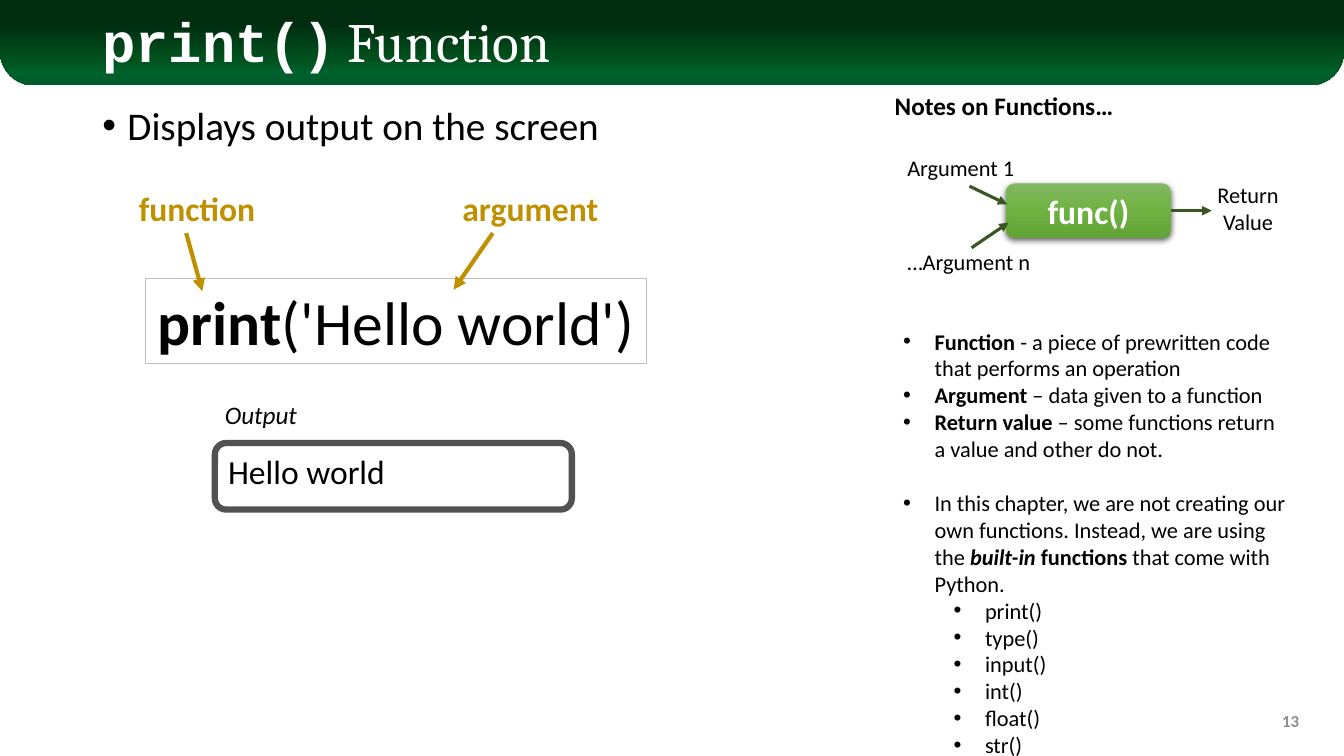
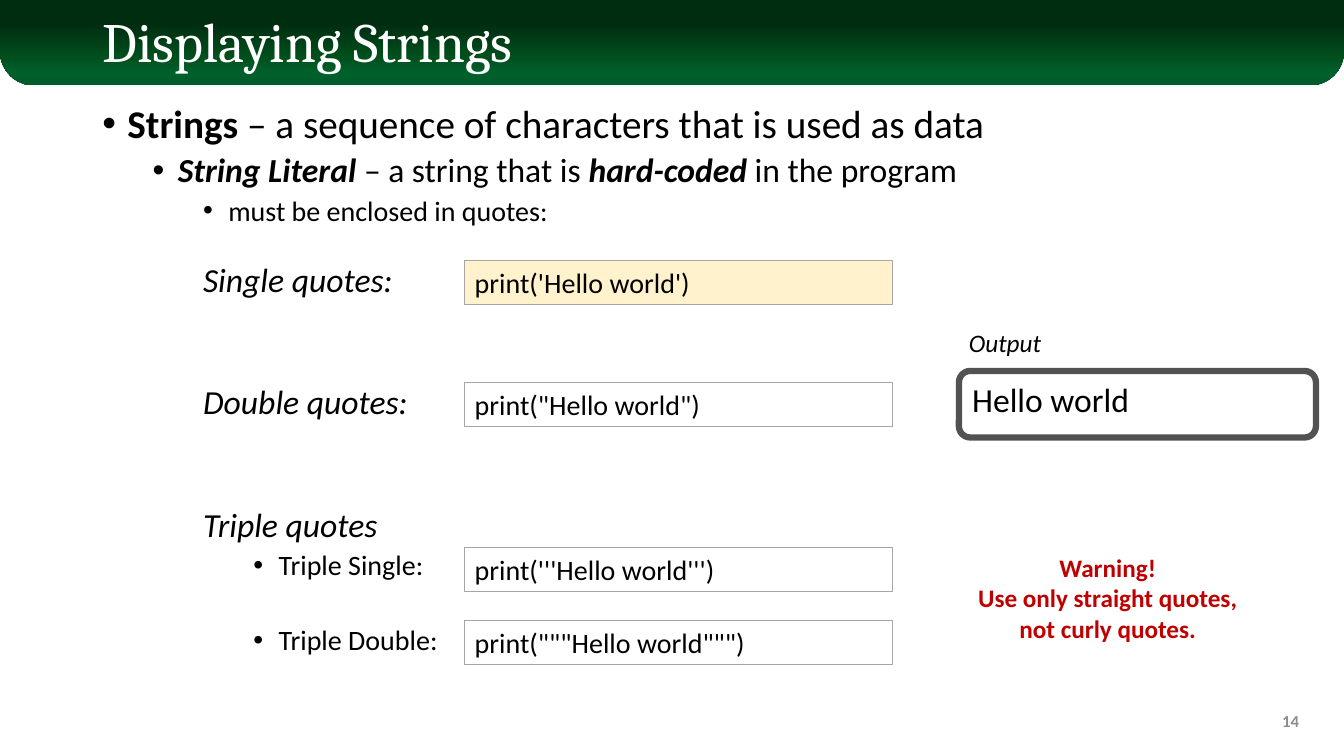
from dataclasses import dataclass

import lxml.etree
import pptx
import pptx.dml.color
import pptx.enum.shapes
import pptx.enum.text
import pptx.oxml.ns
import pptx.presentation
import pptx.shapes.autoshape
import pptx.shapes.connector
import pptx.slide
import pptx.text.text
import pptx.util

Pt = pptx.util.Pt
RGB = pptx.dml.color.RGBColor.from_string
qn = pptx.oxml.ns.qn
Align = pptx.enum.text.PP_ALIGN
Anchor = pptx.enum.text.MSO_ANCHOR
Preset = pptx.enum.shapes.MSO_SHAPE
Slide = pptx.slide.Slide
Shape = pptx.shapes.autoshape.Shape
Connector = pptx.shapes.connector.Connector
Stops = tuple[tuple[int, str], ...]


@dataclass(frozen=True)
class Theme:
    """Colours, fonts and type sizes of the deck."""
    black: str = "000000"
    white: str = "FFFFFF"
    gold: str = "BF9000"
    cream: str = "FFF2CC"
    red: str = "C00000"
    dark_green: str = "385723"
    panel_line: str = "525252"
    code_line: str = "A6A6A6"
    example_line: str = "BFBFBF"
    page_number: str = "8C8C8C"
    band: Stops = ((0, "002D10"), (28, "002D10"), (68, "00501D"), (85, "00602B"), (100, "005C2B"))
    button: Stops = ((0, "81B861"), (50, "6FB242"), (100, "62A336"))
    font: str = "Calibri"
    title_font: str = "Cambria"
    code_font: str = "Courier New"
    title: float = 39.6
    example: float = 44
    body: float = 28
    large: float = 24
    medium: float = 20
    label: float = 18
    note: float = 16
    footer: float = 12


THEME = Theme()


@dataclass(frozen=True)
class Box:
    left: float
    top: float
    width: float
    height: float


@dataclass(frozen=True)
class Span:
    text: str
    bold: bool = False
    italic: bool = False
    font: str = THEME.font


@dataclass(frozen=True)
class Para:
    spans: tuple[Span, ...]
    size: float
    level: int = 0
    indent: float = 0
    hanging: float = 0
    before: float = 0
    spacing: float = 1.0


@dataclass(frozen=True)
class CodeSample:
    code: str
    top: float
    fill: str | None = None


# Text

def add_span(para: pptx.text.text._Paragraph, text: str, *, size: float, color: str,
             bold: bool = False, italic: bool = False, font: str = THEME.font) -> None:
    span = para.add_run()
    span.text = text
    span.font.name = font
    span.font.size = Pt(size)
    span.font.bold = bold
    span.font.italic = italic
    span.font.color.rgb = RGB(color)


def write(shape: Shape, paras: list[Para], *, color: str = THEME.black,
          align: Align = Align.LEFT, anchor: Anchor = Anchor.TOP, wrap: bool = True) -> None:
    frame = shape.text_frame
    frame.word_wrap = wrap
    frame.vertical_anchor = anchor
    frame.auto_size = pptx.enum.text.MSO_AUTO_SIZE.NONE
    for index, item in enumerate(paras):
        para = frame.add_paragraph() if index else frame.paragraphs[0]
        para.alignment = align
        para.level = item.level
        para.line_spacing = item.spacing
        para.space_before = Pt(item.before)
        properties = para._p.get_or_add_pPr()
        properties.set("marL", str(Pt(item.indent)))
        properties.set("indent", str(Pt(-item.hanging)))
        if item.hanging:
            lxml.etree.SubElement(properties, qn("a:buFont")).set("typeface", "Arial")
            lxml.etree.SubElement(properties, qn("a:buChar")).set("char", "•")
        for span in item.spans:
            add_span(para, span.text, size=item.size, color=color, bold=span.bold,
                     italic=span.italic, font=span.font)


def plain(text: str, size: float, bold: bool = False, italic: bool = False) -> list[Para]:
    """One paragraph per line of text."""
    return [Para((Span(line, bold, italic),), size) for line in text.split("\n")]


def add_text(slide: Slide, box: Box, paras: list[Para], *, color: str = THEME.black,
             align: Align = Align.LEFT, anchor: Anchor = Anchor.TOP, wrap: bool = True) -> None:
    shape = slide.shapes.add_textbox(Pt(box.left), Pt(box.top), Pt(box.width), Pt(box.height))
    write(shape, paras, color=color, align=align, anchor=anchor, wrap=wrap)


# Shapes and arrows

def add_shape(slide: Slide, box: Box, preset: Preset = Preset.RECTANGLE, *,
              fill: str | None = None, line: str | None = None, weight: float = 0.75) -> Shape:
    shape = slide.shapes.add_shape(preset, Pt(box.left), Pt(box.top), Pt(box.width), Pt(box.height))
    shape.shadow.inherit = False
    if fill:
        shape.fill.solid()
        shape.fill.fore_color.rgb = RGB(fill)
    else:
        shape.fill.background()
    if line:
        shape.line.color.rgb = RGB(line)
        shape.line.width = Pt(weight)
    else:
        shape.line.fill.background()
    return shape


def add_color_stop(parent: lxml.etree._Element, color: str) -> lxml.etree._Element:
    node = lxml.etree.SubElement(parent, qn("a:srgbClr"))
    node.set("val", color)
    return node


def fill_downward(shape: Shape, stops: Stops) -> None:
    shape.fill.gradient()
    shape.fill.gradient_angle = 270
    stop_list = shape.element.spPr.find(".//" + qn("a:gsLst"))
    for old_stop in list(stop_list):
        stop_list.remove(old_stop)
    for percent, color in stops:
        stop = lxml.etree.SubElement(stop_list, qn("a:gs"))
        stop.set("pos", str(percent * 1000))
        add_color_stop(stop, color)


def add_shadow(shape: Shape) -> None:
    effects = shape.element.spPr.find(qn("a:effectLst"))
    shadow = lxml.etree.SubElement(effects, qn("a:outerShdw"))
    for name, value in (("blurRad", Pt(4.5)), ("dist", Pt(1.5)), ("dir", 5400000), ("rotWithShape", 0)):
        shadow.set(name, str(int(value)))
    lxml.etree.SubElement(add_color_stop(shadow, THEME.black), qn("a:alpha")).set("val", "63000")


def add_arrow(slide: Slide, start: tuple[float, float], end: tuple[float, float], *,
              color: str, weight: float) -> Connector:
    arrow = slide.shapes.add_connector(pptx.enum.shapes.MSO_CONNECTOR.STRAIGHT,
                                       *(Pt(value) for value in start + end))
    arrow.line.color.rgb = RGB(color)
    arrow.line.width = Pt(weight)
    properties = arrow.element.spPr
    lxml.etree.SubElement(properties.find(qn("a:ln")), qn("a:tailEnd")).set("type", "triangle")
    lxml.etree.SubElement(properties, qn("a:effectLst"))
    return arrow


# Parts shared by the slides

def move_band_to_layout(slide: Slide) -> None:
    band = add_shape(slide, Box(0, 0, 960, 61), Preset.ROUND_2_SAME_RECTANGLE)
    band.adjustments[0], band.adjustments[1] = 0, 0.4
    fill_downward(band, THEME.band)
    band.element.nvSpPr.cNvPr.id = 99
    slide.slide_layout.shapes.element.insert(2, band.element)


def add_page(deck: pptx.presentation.Presentation, number: int, title: tuple[Span, ...]) -> Slide:
    slide = deck.slides.add_slide(deck.slide_layouts[5])
    heading = slide.shapes.title
    heading.left, heading.top, heading.width, heading.height = Pt(66), Pt(9.5), Pt(828), Pt(44)
    write(heading, [Para(title, THEME.title, spacing=0.9)], color=THEME.white, anchor=Anchor.MIDDLE)
    add_text(slide, Box(719, 500.5, 216, 28.5), plain(str(number), THEME.footer, bold=True),
             color=THEME.page_number, align=Align.RIGHT, anchor=Anchor.MIDDLE)
    return slide


def add_output_panel(slide: Slide, left: float, top: float) -> None:
    add_text(slide, Box(left, top, 66, 29), plain("Output", THEME.label, italic=True), wrap=False)
    panel = add_shape(slide, Box(left, top + 35, 255, 47.5), Preset.ROUNDED_RECTANGLE,
                      line=THEME.panel_line, weight=4.5)
    panel.adjustments[0] = 0.17
    write(panel, plain("Hello world", THEME.large))


def outline(*spans: Span, level: int, size: float, before: float = 5, bullet: bool = True) -> Para:
    indent = 18 + 36 * level if bullet else 36 * level
    return Para(spans, size, level, indent, 18 if bullet else 0, before, 0.9)


def note(*spans: Span, level: int = 0, before: float = 0) -> Para:
    return Para(spans, THEME.note, level, 22.5 + 36 * level, 22.5, before)


# Slides

def build_print_page(slide: Slide) -> None:
    add_text(slide, Box(66, 72.5, 828, 415),
             [outline(Span("Displays output on the screen"), level=0, size=THEME.body, before=10)])

    # Annotated call
    example = add_shape(slide, Box(104, 199, 358, 60.5), line=THEME.example_line)
    call = Para((Span("print", bold=True), Span("('Hello world')")), THEME.example)
    write(example, [call], align=Align.CENTER, wrap=False)
    for word, left, width, start, end in (
            ("function", 91.5, 98.5, (133, 166.5), (144.5, 208)),
            ("argument", 322.5, 112.5, (352, 166.5), (324, 207))):
        add_text(slide, Box(left, 131, width, 36), plain(word, THEME.large, bold=True),
                 color=THEME.gold, align=Align.CENTER, wrap=False)
        add_arrow(slide, start, end, color=THEME.gold, weight=3)
    add_output_panel(slide, 153.5, 281.5)

    # Function diagram
    add_text(slide, Box(632, 61, 173.5, 29), plain("Notes on Functions…", THEME.label, bold=True), wrap=False)
    button = add_shape(slide, Box(718.5, 131, 118, 39), Preset.ROUNDED_RECTANGLE)
    fill_downward(button, THEME.button)
    add_shadow(button)
    write(button, plain("func()", THEME.large, bold=True), color=THEME.white,
          align=Align.CENTER, anchor=Anchor.MIDDLE)
    for word, top, width, start, end in (
            ("Argument 1", 106.5, 92, (692.5, 133), (719.5, 146)),
            ("…Argument n", 174, 104.5, (694, 177), (720.5, 159))):
        add_text(slide, Box(641, top, width, 26.5), plain(word, THEME.note), wrap=False)
        add_arrow(slide, start, end, color=THEME.dark_green, weight=2.25)
    result = add_arrow(slide, (836.5, 150.5), (865.5, 150.5), color=THEME.dark_green, weight=2.25)
    result.begin_connect(button, 3)
    add_text(slide, Box(857, 126, 69, 46), plain("Return\nValue", THEME.note), align=Align.CENTER)

    # Notes
    notes = [
        note(Span("Function", bold=True), Span(" - a piece of prewritten code that performs an operation")),
        note(Span("Argument", bold=True), Span(" – data given to a function")),
        note(Span("Return value ", bold=True), Span("– some functions return a value and other do not.")),
        note(Span("In this chapter, we are not creating our own functions. Instead, we are using the "),
             Span("built-in ", bold=True, italic=True), Span("functions", bold=True),
             Span(" that come with Python."), before=19.5),
    ]
    names = ("print()", "type()", "input()", "int()", "float()", "str()")
    add_text(slide, Box(638, 230.5, 290, 317.5), notes + [note(Span(name), level=1) for name in names])


def build_strings_page(slide: Slide) -> None:
    # Outline
    add_text(slide, Box(66, 71, 828, 415), [
        outline(Span("Strings", bold=True), Span(" – a sequence of characters that is used as data"),
                level=0, size=THEME.body, before=10),
        outline(Span("String Literal ", bold=True, italic=True), Span("– a string that is "),
                Span("hard-coded ", bold=True, italic=True), Span("in the program"),
                level=1, size=THEME.large),
        outline(Span("must be enclosed in quotes:"), level=2, size=THEME.medium),
        *(outline(Span(words, italic=True), level=2, size=THEME.large, before=before, bullet=False)
          for words, before in (("Single quotes:", 26), ("Double quotes:", 61.5), ("Triple quotes", 61.5))),
        outline(Span("Triple Single:"), level=3, size=THEME.medium),
        outline(Span("Triple Double:"), level=3, size=THEME.medium, before=32),
    ])

    # Code samples
    for sample in (CodeSample("print('Hello world')", 186, THEME.cream),
                   CodeSample('print("Hello world")', 273),
                   CodeSample("print('''Hello world''')", 391),
                   CodeSample('print("""Hello world""")', 443.5)):
        box = add_shape(slide, Box(332, sample.top, 305.5, 31.5), fill=sample.fill, line=THEME.code_line)
        write(box, plain(sample.code, THEME.medium))

    # Output and warning
    add_output_panel(slide, 685, 230)
    add_text(slide, Box(681, 391, 220.5, 73),
             plain("Warning!\nUse only straight quotes,\nnot curly quotes.", THEME.label, bold=True),
             color=THEME.red, align=Align.CENTER)


def main() -> None:
    deck = pptx.Presentation()
    deck.slide_width, deck.slide_height = Pt(960), Pt(540)
    print_page = add_page(deck, 13, (Span("print()", bold=True, font=THEME.code_font),
                                     Span(" Function", font=THEME.title_font)))
    move_band_to_layout(print_page)
    build_print_page(print_page)
    build_strings_page(add_page(deck, 14, (Span("Displaying Strings", font=THEME.title_font),)))
    deck.save("out.pptx")


if __name__ == "__main__":
    main()
